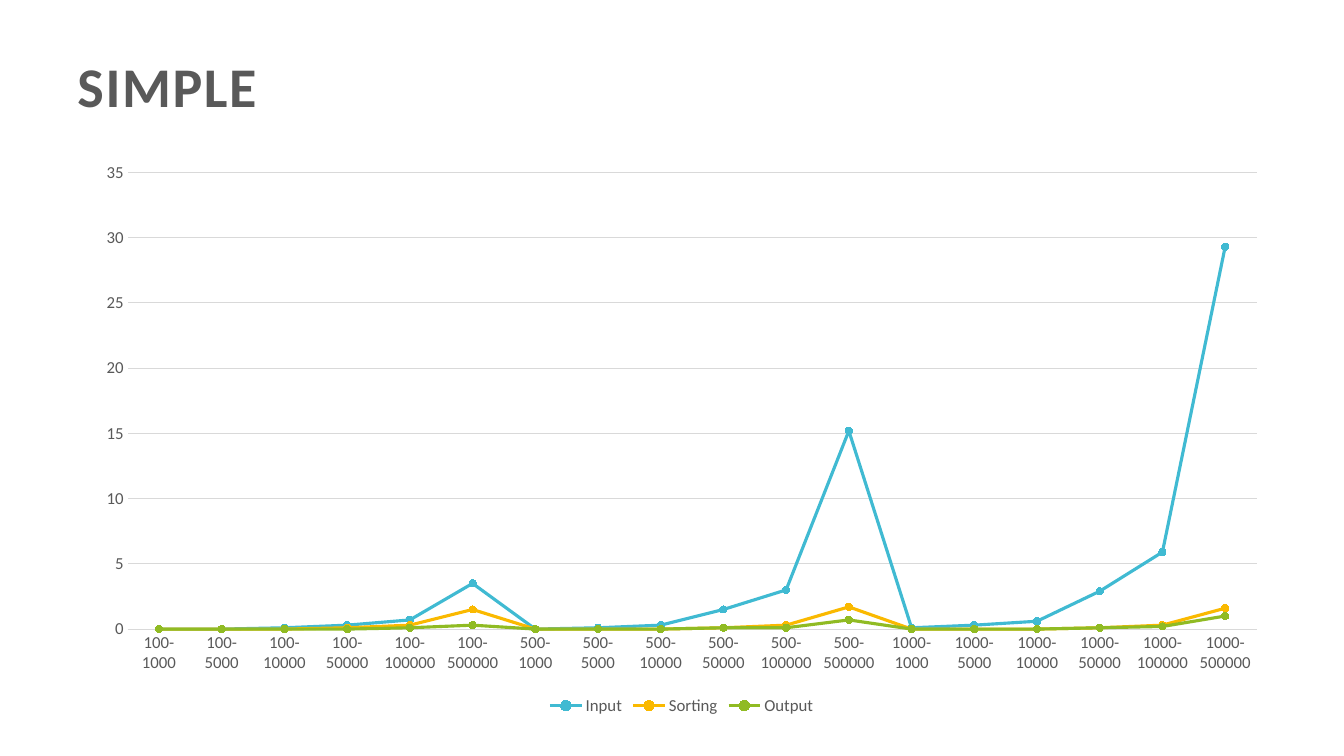
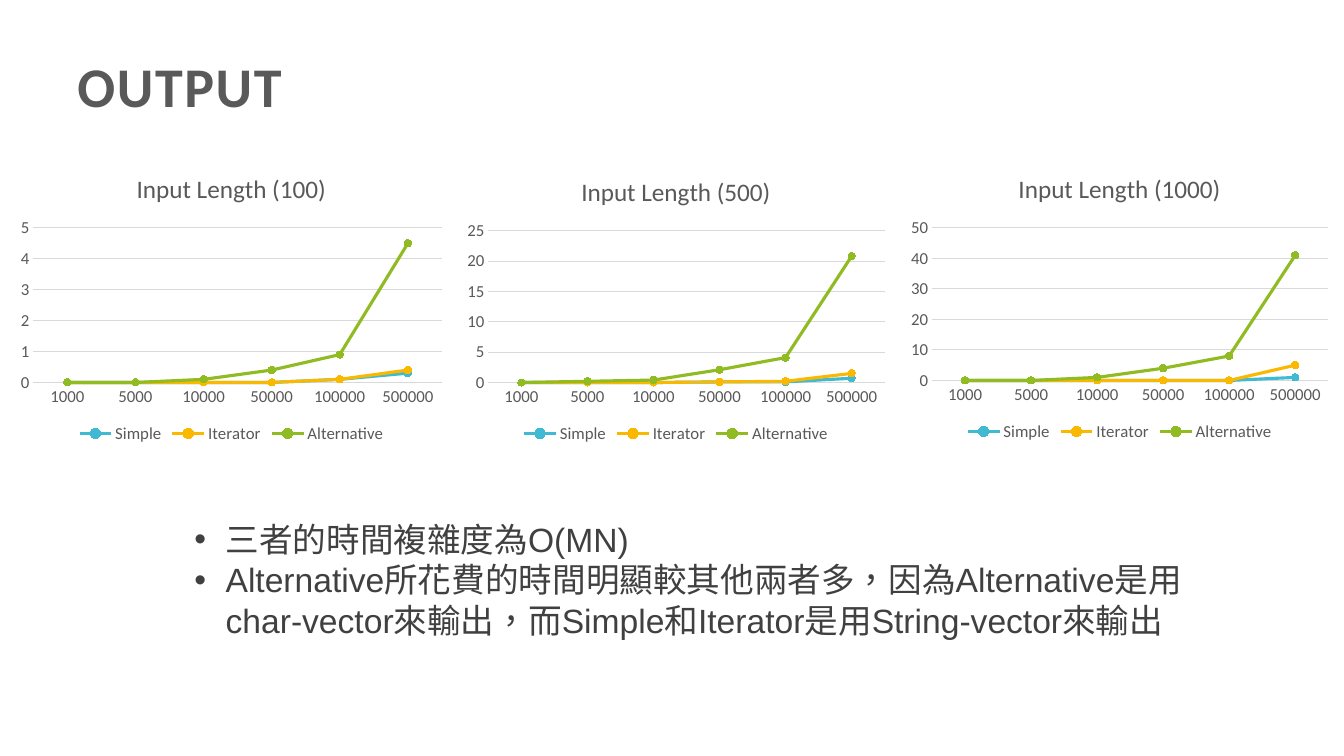
import pptx
import pptx.chart.data
import pptx.dml.color
import pptx.enum.chart
import pptx.enum.text
import pptx.util
from lxml import etree
from pptx.util import Inches, Pt

GREY, BODY_GREY, RULE_GREY = "595959", "404040", "D9D9D9"
SERIES_COLOURS = ("40BAD2", "FAB900", "90BB23")
FONT, BODY_FONT = "Calibri", "Arial"

INPUT_LENGTHS = (100, 500, 1000)
ITEM_COUNTS = (1000, 5000, 10000, 50000, 100000, 500000)

SIMPLE_CHART = {
    "box": (0.82, 1.5, 11.88, 5.64),
    "categories": [f"{length}-{count}" for length in INPUT_LENGTHS for count in ITEM_COUNTS],
    "series": {
        "Input": (0, 0, 0.1, 0.3, 0.7, 3.5, 0, 0.1, 0.3, 1.5, 3, 15.2,
                  0.1, 0.3, 0.6, 2.9, 5.9, 29.3),
        "Sorting": (0, 0, 0, 0.1, 0.3, 1.5, 0, 0, 0, 0.1, 0.3, 1.7,
                    0, 0, 0, 0.1, 0.3, 1.6),
        "Output": (0, 0, 0, 0, 0.1, 0.3, 0, 0, 0, 0.1, 0.1, 0.7,
                   0, 0, 0, 0.1, 0.2, 1),
    },
}

METHODS = ("Simple", "Iterator", "Alternative")
OUTPUT_BOXES = ((0.12, 1.54, 4.35, 2.9), (4.55, 1.57, 4.31, 2.87), (8.95, 1.54, 4.31, 2.88))
OUTPUT_TIMES = (
    ((0, 0, 0, 0, 0.1, 0.3), (0, 0, 0, 0, 0.1, 0.4), (0, 0, 0.1, 0.4, 0.9, 4.5)),
    ((0, 0, 0, 0.1, 0.1, 0.7), (0, 0, 0, 0.1, 0.2, 1.5), (0, 0.2, 0.4, 2.1, 4.1, 20.8)),
    ((0, 0, 0, 0, 0, 1), (0, 0, 0, 0, 0, 5), (0, 0, 1, 4, 8, 41)),
)
OUTPUT_CHARTS = [
    {
        "box": box,
        "title": f"Input Length ({length})",
        "categories": [str(count) for count in ITEM_COUNTS],
        "series": dict(zip(METHODS, times)),
    }
    for length, box, times in zip(INPUT_LENGTHS, OUTPUT_BOXES, OUTPUT_TIMES)
]

FINDINGS = (
    "三者的時間複雜度為O(MN)",
    "Alternative所花費的時間明顯較其他兩者多，因為Alternative是用char-vector來輸出，"
    "而Simple和Iterator是用String-vector來輸出",
)

SLIDES = (
    {"title": "SIMPLE", "charts": [SIMPLE_CHART], "findings": ()},
    {"title": "OUTPUT", "charts": OUTPUT_CHARTS, "findings": FINDINGS},
)


def colour(hex_value):
    return pptx.dml.color.RGBColor.from_string(hex_value)


def style_font(font, size, hex_value=GREY, name=FONT, bold=False):
    font.name, font.size, font.bold = name, Pt(size), bold
    font.color.rgb = colour(hex_value)


def style_line(line, hex_value, width):
    line.color.rgb = colour(hex_value)
    line.width = Pt(width)


def add_text(slide, box, paragraphs):
    frame = slide.shapes.add_textbox(*map(Inches, box)).text_frame
    frame.word_wrap = True
    frame.auto_size = pptx.enum.text.MSO_AUTO_SIZE.SHAPE_TO_FIT_TEXT
    frame.text = "\n".join(paragraphs)
    return frame


def add_title(slide, title):
    run = add_text(slide, (0.67, 0.46, 3.44, 0.77), [title]).paragraphs[0].runs[0]
    style_font(run.font, 40, bold=True)
    run.font._element.set("spc", "120")


def add_findings(slide, findings):
    for paragraph in add_text(slide, (1.83, 5.1, 10.2, 1.72), findings).paragraphs:
        properties = paragraph._p.get_or_add_pPr()
        properties.set("marL", str(Inches(0.31)))
        properties.set("indent", str(-Inches(0.31)))
        bullet_font = etree.SubElement(properties, pptx.oxml.ns.qn("a:buFont"))
        bullet_font.set("typeface", BODY_FONT)
        etree.SubElement(properties, pptx.oxml.ns.qn("a:buChar")).set("char", "•")
        for run in paragraph.runs:
            style_font(run.font, 24, BODY_GREY, BODY_FONT)
            run.font._element.set("lang", "zh-TW")


def style_axes(chart):
    for axis in (chart.category_axis, chart.value_axis):
        axis.major_tick_mark = axis.minor_tick_mark = pptx.enum.chart.XL_TICK_MARK.NONE
        style_font(axis.tick_labels.font, 12)
    style_line(chart.category_axis.format.line, RULE_GREY, 0.75)
    chart.value_axis.format.line.fill.background()
    chart.value_axis.has_major_gridlines = True
    style_line(chart.value_axis.major_gridlines.format.line, RULE_GREY, 0.75)


def style_series(plot):
    plot.vary_by_categories = False
    for series, hex_value in zip(plot.series, SERIES_COLOURS):
        series.smooth = False
        style_line(series.format.line, hex_value, 2.25)
        marker = series.marker
        marker.style = pptx.enum.chart.XL_MARKER_STYLE.CIRCLE
        marker.size = 5
        marker.format.fill.solid()
        marker.format.fill.fore_color.rgb = colour(hex_value)
        style_line(marker.format.line, hex_value, 0.75)


def add_line_chart(slide, content):
    times = pptx.chart.data.CategoryChartData()
    times.categories = content["categories"]
    for name, values in content["series"].items():
        times.add_series(name, values)
    chart = slide.shapes.add_chart(
        pptx.enum.chart.XL_CHART_TYPE.LINE_MARKERS, *map(Inches, content["box"]), times
    ).chart
    style_font(chart.font, 10, "000000")

    chart.has_title = "title" in content
    if chart.has_title:
        heading = chart.chart_title.text_frame
        heading.text = content["title"]
        style_font(heading.paragraphs[0].runs[0].font, 18)

    chart.has_legend = True
    chart.legend.position = pptx.enum.chart.XL_LEGEND_POSITION.BOTTOM
    chart.legend.include_in_layout = False
    style_font(chart.legend.font, 12)
    style_axes(chart)
    style_series(chart.plots[0])


def main():
    deck = pptx.Presentation()
    deck.slide_width, deck.slide_height = Inches(13.33), Inches(7.5)
    for content in SLIDES:
        slide = deck.slides.add_slide(deck.slide_layouts[6])
        for chart in content["charts"]:
            add_line_chart(slide, chart)
        add_title(slide, content["title"])
        if content["findings"]:
            add_findings(slide, content["findings"])
    deck.save("out.pptx")


if __name__ == "__main__":
    main()
